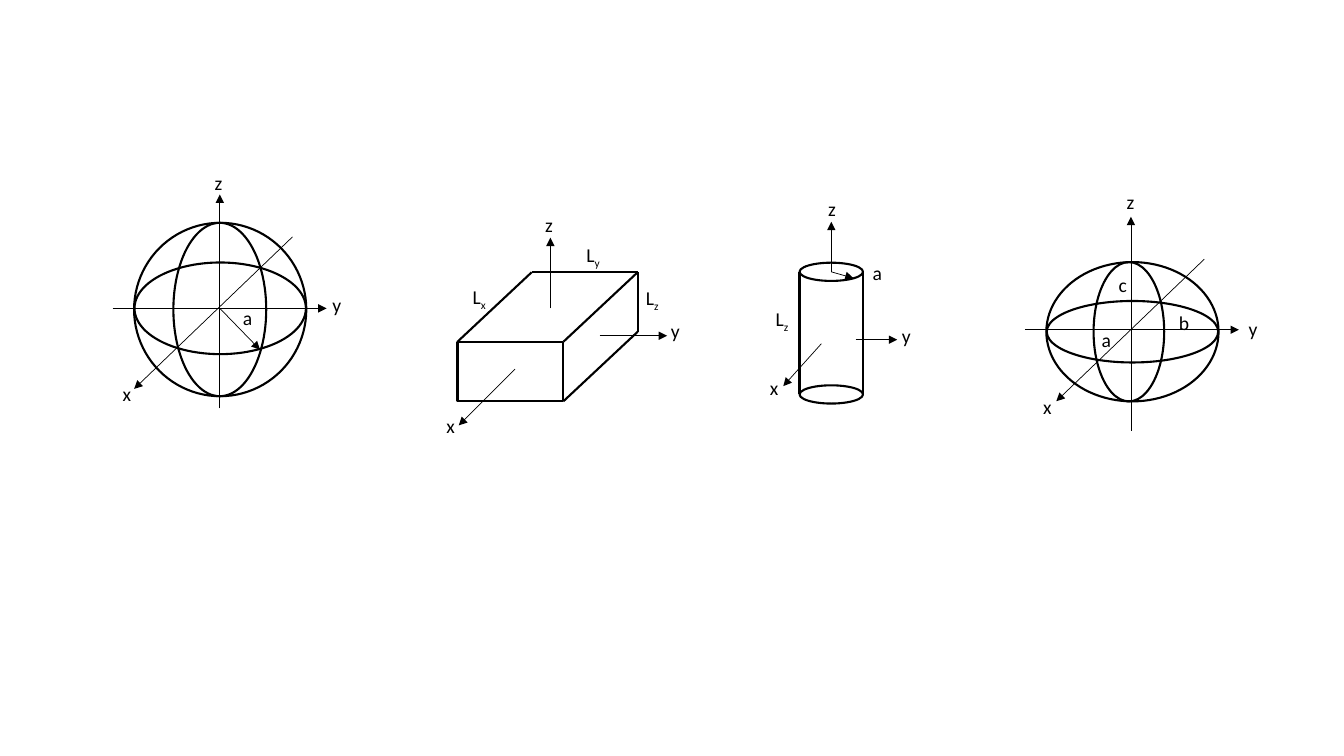
from lxml.etree import SubElement
from pptx import Presentation
from pptx.dml.color import RGBColor
from pptx.enum.shapes import MSO_CONNECTOR as CXN, MSO_SHAPE as SHAPE
from pptx.enum.text import MSO_AUTO_SIZE as AUTOSIZE
from pptx.oxml.ns import qn
from pptx.util import Cm, Pt

BLACK = RGBColor(0, 0, 0)
THEME = {
    "font": {"name": "Calibri", "size": Pt(14)},
    "ink": BLACK,
    "axis": Pt(0.5),
    "edge": Pt(1.5),
}


def add_line(grp, ends, width, arrow=False):
    c = grp.shapes.add_connector(CXN.STRAIGHT, *map(Cm, ends))
    c.line.color.rgb = THEME["ink"]
    c.line.width = width
    if arrow:
        SubElement(c.line._get_or_add_ln(), qn("a:tailEnd"), type="triangle")
    SubElement(c._element.spPr, qn("a:effectLst"))


def add_label(grp, text, x, y, w, h):
    tb = grp.shapes.add_textbox(Cm(x), Cm(y), Cm(w), Cm(h))
    tf = tb.text_frame
    tf.word_wrap = True
    tf.auto_size = AUTOSIZE.SHAPE_TO_FIT_TEXT
    # A second letter is a subscript
    for i, letter in enumerate(text):
        r = tf.paragraphs[0].add_run()
        r.text = letter
        for attr, value in THEME["font"].items():
            setattr(r.font, attr, value)
        r.font.color.rgb = THEME["ink"]
        if i:
            r._r.get_or_add_rPr().set("baseline", "-25000")


# Box front face and the shift to its back face
left, top, right, bottom = 11.53, 8.61, 14.2, 10.11
dx, dy = 1.87, -1.75

# Cylinder axis, end heights and radius
cx, lid, base, radius = 20.95, 6.85, 9.94, 0.8

# Lines: x1, y1, x2, y2; outlines: shape, centre x, centre y, width, height;
# labels: text, left, top, width
sphere = {
    "arrows": [(5.54, 10.29, 5.54, 4.9), (7.37, 5.97, 3.38, 9.8),
               (2.84, 7.77, 8.23, 7.77), (5.54, 7.77, 6.55, 8.81)],
    "outlines": [(SHAPE.OVAL, 5.54, 7.8, 2.34, 4.37),
                 (SHAPE.OVAL, 5.55, 7.8, 4.34, 4.37),
                 (SHAPE.OVAL, 5.55, 7.77, 4.32, 2.31)],
    "edges": [],
    "labels": [("a", 5.87, 7.59, 1.55), ("x", 2.84, 9.5, 1.35),
               ("y", 8.13, 7.26, 0.94), ("z", 5.16, 4.19, 1.55)],
    "label_height": 0.74,
}
box = {
    "arrows": [(13.87, 7.77, 13.87, 5.99), (12.98, 9.3, 11.56, 10.72),
               (15.11, 8.46, 16.81, 8.46)],
    "outlines": [(SHAPE.RECTANGLE, (left + right) / 2, (top + bottom) / 2,
                  right - left, bottom - top)],
    "edges": [(x, y, x + dx, y + dy)
              for x, y in ((left, top), (right, top), (right, bottom))]
             + [(left + dx, top + dy, right + dx, top + dy),
                (right + dx, bottom + dy, right + dx, top + dy)],
    "labels": [("x", 11, 10.31, 1.57), ("y", 16.66, 7.92, 0.89),
               ("z", 13.49, 5.23, 1.17), ("Lx", 11.66, 7.06, 1.57),
               ("Ly", 14.53, 5.99, 1.57), ("Lz", 16.03, 7.09, 1.57)],
    "label_height": 0.86,
}
cylinder = {
    "arrows": [(cx, lid, cx, 5.59), (21.56, 8.56, 22.61, 8.56),
               (20.7, 8.66, 19.74, 9.73), (cx, lid, 21.51, 7.01)],
    "outlines": [(SHAPE.OVAL, cx, y, 2 * radius, 0.46) for y in (base, lid)],
    "edges": [(x, lid, x, base) for x in (cx + radius, cx - radius)],
    "labels": [("x", 19.15, 9.35, 1.57), ("y", 22.48, 8.05, 0.89),
               ("z", 20.62, 4.83, 1.17), ("a", 21.74, 6.45, 1.8),
               ("Lz", 19.3, 7.62, 1.57)],
    "label_height": 0.86,
}
ellipsoid = {
    "arrows": [(28.5, 10.85, 28.5, 5.46), (30.35, 6.53, 26.62, 10.11),
               (25.83, 8.31, 31.22, 8.31)],
    "outlines": [(SHAPE.OVAL, 28.45, 8.36, 1.78, 3.51),
                 (SHAPE.OVAL, 28.54, 8.36, 4.34, 3.51),
                 (SHAPE.OVAL, 28.54, 8.36, 4.32, 1.55)],
    "edges": [],
    "labels": [("a", 27.51, 8.13, 1.55), ("x", 26.04, 9.83, 1.35),
               ("y", 31.22, 7.85, 1.55), ("z", 28.14, 4.67, 1.55),
               ("b", 29.46, 7.7, 1.55), ("c", 27.94, 6.76, 1.55)],
    "label_height": 0.74,
}

prs = Presentation()
prs.slide_width, prs.slide_height = Cm(33.87), Cm(19.05)
s = prs.slides.add_slide(prs.slide_layouts[6])

# One group per solid
for solid in (sphere, box, cylinder, ellipsoid):
    grp = s.shapes.add_group_shape()

    # Axes and radii
    for ends in solid["arrows"]:
        add_line(grp, ends, THEME["axis"], arrow=True)

    # Outlines and edges
    for kind, x, y, w, h in solid["outlines"]:
        sp = grp.shapes.add_shape(kind, Cm(x - w / 2), Cm(y - h / 2), Cm(w), Cm(h))
        sp.shadow.inherit = False
        sp.fill.background()
        sp.line.color.rgb = THEME["ink"]
        sp.line.width = THEME["edge"]
    for ends in solid["edges"]:
        add_line(grp, ends, THEME["edge"])

    # Labels
    for text, x, y, w in solid["labels"]:
        add_label(grp, text, x, y, w, solid["label_height"])

prs.save("out.pptx")
